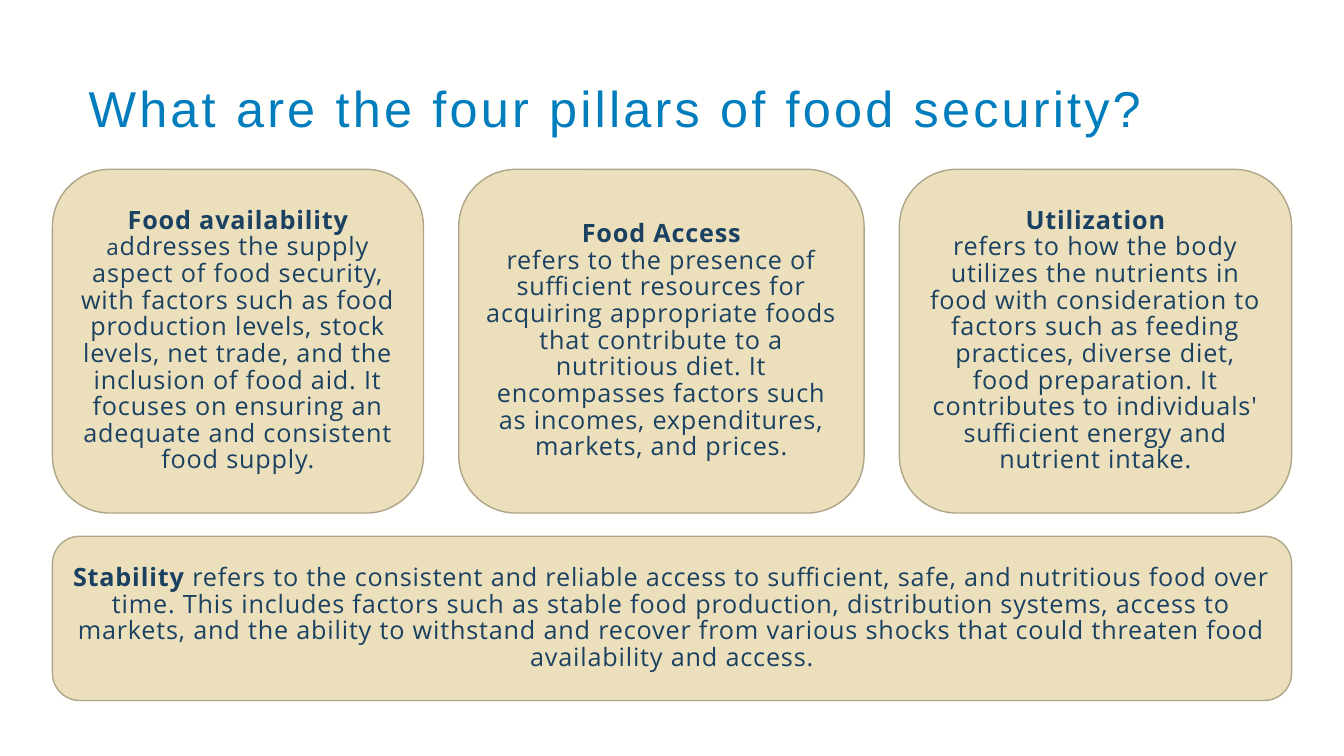
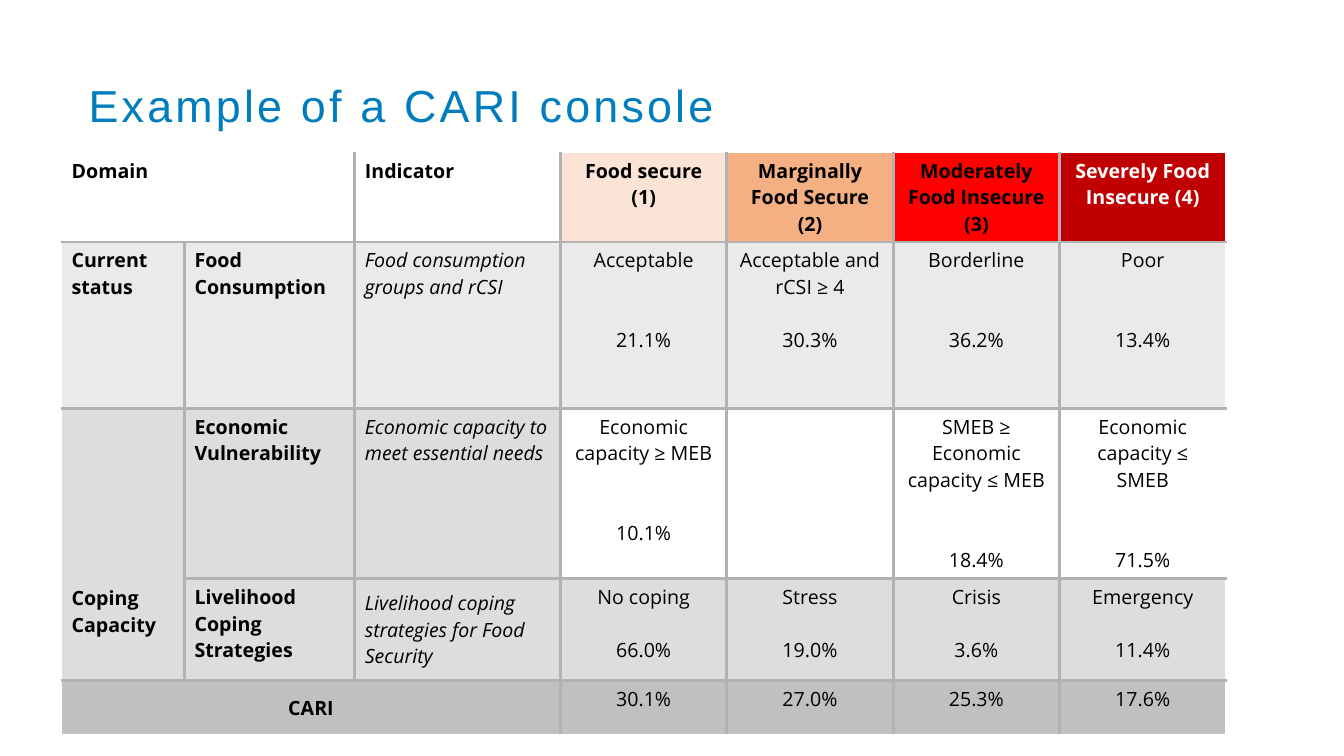
"""Build two slides on food security: the four pillars and a CARI console."""
from lxml import etree
from pptx import Presentation
from pptx.dml.color import RGBColor
from pptx.enum.shapes import MSO_SHAPE
from pptx.enum.text import MSO_ANCHOR, PP_ALIGN
from pptx.oxml.ns import qn
from pptx.util import Inches, Pt

ROUND_RECT = MSO_SHAPE.ROUNDED_RECTANGLE
LEFT, CENTER = PP_ALIGN.LEFT, PP_ALIGN.CENTER
TOP, MIDDLE, BOTTOM = MSO_ANCHOR.TOP, MSO_ANCHOR.MIDDLE, MSO_ANCHOR.BOTTOM

BACKGROUND, BLUE, NAVY = "FFFFFE", "007DBC", "1A4161"
SAND, SAND_EDGE = "ECDFBB", "AFA58A"
WHITE, BLACK, GRID = "FFFFFF", "000000", "B2B2B2"
PALE_GRAY, LIGHT_GRAY, MID_GRAY = "EAEAEA", "DDDDDD", "C0C0C0"
TITLE_FONT, BODY_FONT = "Arial", "Open Sans"

CARD_TOP, CARD_HEIGHT = 1.68, 3.41
CARDS = [
    (0.52, 3.68, "Food availability", [
        ("a", 16),
        ("ddresses the supply aspect of food security, with factors such as "
         "food production levels, stock levels, net trade, and the inclusion "
         "of food aid. It focuses on ensuring an adequate and consistent food "
         "supply.", 18)]),
    (4.55, 4.02, "Food Access", [
        ("refers to the presence of sufficient resources for acquiring "
         "appropriate foods that contribute to a nutritious diet. It "
         "encompasses factors such as incomes, expenditures, markets, and "
         "prices.", 18)]),
    (8.92, 3.89, "Utilization", [
        ("refers to how the body utilizes the nutrients in food with "
         "consideration to factors such as feeding practices, diverse diet, "
         "food preparation. It contributes to individuals' sufficient energy "
         "and nutrient intake.", 18)]),
]
STABILITY = (
    "refers to the consistent and reliable access to sufficient, safe, and "
    "nutritious food over time. This includes factors such as stable food "
    "production, distribution systems, access to markets, and the ability to "
    "withstand and recover from various shocks that could threaten food "
    "availability and access.")

COL_WIDTHS = [1.22, 1.69, 2.04] + [1.65] * 4
ROW_HEIGHTS = [0.89, 1.65, 1.69, 1.01, 0.54]
ROW_FILLS = [
    [WHITE] * 3 + ["FBE4D5", "F4B083", "FF0000", "C00000"],
    [PALE_GRAY] * 7,
    [LIGHT_GRAY] * 3 + [WHITE] * 4,
    [LIGHT_GRAY] * 7,
    [MID_GRAY] * 7,
]
MERGES = [((0, 0), (0, 1)), ((2, 0), (3, 0)), ((4, 0), (4, 2))]
HEADINGS = ["Domain", "", "Indicator", "Food secure (1)",
            "Marginally Food Secure (2)", "Moderately Food Insecure (3)",
            "Severely Food Insecure (4)"]
LABELS = [
    ("Current status", "Food Consumption", "Food consumption groups and rCSI"),
    ("Coping Capacity", "Economic Vulnerability",
     "Economic capacity to meet essential needs"),
    ("", "Livelihood Coping Strategies",
     "Livelihood coping strategies for Food Security"),
]
LINE = 19
RESULTS = [
    [("Acceptable", "21.1%", 2 * LINE),
     ("Acceptable and rCSI ≥ 4", "30.3%", LINE),
     ("Borderline", "36.2%", 2 * LINE), ("Poor", "13.4%", 2 * LINE)],
    [("Economic capacity ≥ MEB", "10.1%", 2 * LINE), None,
     ("SMEB ≥ Economic capacity ≤ MEB", "18.4%", 2 * LINE),
     ("Economic capacity ≤ SMEB", "71.5%", 2 * LINE)],
    [("No coping", "66.0%", LINE), ("Stress", "19.0%", LINE),
     ("Crisis", "3.6%", LINE), ("Emergency", "11.4%", LINE)],
]
CARI_TOTALS = ["30.1%", "27.0%", "25.3%", "17.6%"]


def rgb(value):
    """Turn a hex string into a colour."""
    return RGBColor.from_string(value)


def add_run(p, text, size=14, color=BLACK, font=BODY_FONT, bold=False,
            italic=False, spacing=0, align=LEFT):
    """Append a formatted run to a paragraph and align the paragraph."""
    p.alignment = align
    r = p.add_run()
    r.text = text
    r.font.size, r.font.name = Pt(size), font
    r.font.bold, r.font.italic = bold, italic
    r.font.color.rgb = rgb(color)
    if spacing:
        r._r.get_or_add_rPr().set("spc", str(round(spacing * 100)))


def add_slide(prs, title, size):
    """Add a blank slide with the shared background and title."""
    s = prs.slides.add_slide(prs.slide_layouts[6])
    s.background.fill.solid()
    s.background.fill.fore_color.rgb = rgb(BACKGROUND)
    tf = s.shapes.add_textbox(Inches(0.78), Inches(0.78),
                              Inches(12.09), Inches(0.72)).text_frame
    tf.word_wrap = True
    p = tf.paragraphs[0]
    p.line_spacing = 0.9
    add_run(p, title, size=size, color=BLUE, font=TITLE_FONT, spacing=2.3)
    return s


def add_card(s, left, top, width, height, paragraphs):
    """Add a rounded card; each paragraph lists (text, size, bold) runs."""
    sp = s.shapes.add_shape(ROUND_RECT, Inches(left), Inches(top),
                            Inches(width), Inches(height))
    sp.shadow.inherit = False
    sp.fill.solid()
    sp.fill.fore_color.rgb = rgb(SAND)
    sp.line.color.rgb = rgb(SAND_EDGE)
    sp.line.width = Pt(1)
    tf = sp.text_frame
    tf.word_wrap = True
    tf.vertical_anchor = MIDDLE
    for i, runs in enumerate(paragraphs):
        p = tf.add_paragraph() if i else tf.paragraphs[0]
        p.line_spacing = 0.88
        for text, size, bold in runs:
            add_run(p, text, size=size, color=NAVY, bold=bold, spacing=0.6,
                    align=CENTER)


def add_border(cell, side, color, width):
    """Add one cell border; side is L, R, T or B."""
    ln = etree.SubElement(cell._tc.get_or_add_tcPr(), qn("a:ln" + side),
                          w=str(Pt(width)))
    fill = etree.SubElement(ln, qn("a:solidFill"))
    etree.SubElement(fill, qn("a:srgbClr"), val=color)


def style_cell(cell, fill, outer_sides):
    """Give a cell its fill, with white borders on the table's outer sides."""
    for side in "LRTB":
        color, width = (WHITE, 1) if side in outer_sides else (GRID, 2.25)
        add_border(cell, side, color, width)
    cell.fill.solid()
    cell.fill.fore_color.rgb = rgb(fill)


def write_cell(cell, text, anchor=TOP, **fmt):
    """Write the first paragraph of a cell."""
    cell.vertical_anchor = anchor
    add_run(cell.text_frame.paragraphs[0], text, **fmt)


def write_result(cell, category, value, gap):
    """Write a category with its share set below it."""
    write_cell(cell, category, align=CENTER)
    p = cell.text_frame.add_paragraph()
    p.space_before = Pt(gap)
    add_run(p, value, align=CENTER)


def add_grid(s, left, top):
    """Add the empty console table with its fills, borders and merges."""
    n_rows, n_cols = len(ROW_HEIGHTS), len(COL_WIDTHS)
    table = s.shapes.add_table(n_rows, n_cols, Inches(left), Inches(top),
                               Inches(sum(COL_WIDTHS)),
                               Inches(sum(ROW_HEIGHTS))).table
    table.first_row = table.horz_banding = False
    for col, width in zip(table.columns, COL_WIDTHS):
        col.width = Inches(width)
    for i, (row, height) in enumerate(zip(table.rows, ROW_HEIGHTS)):
        row.height = Inches(height)
        for j, cell in enumerate(row.cells):
            edges = {"L": j == 0, "R": j == n_cols - 1,
                     "T": i == 0, "B": i == n_rows - 1}
            style_cell(cell, ROW_FILLS[i][j],
                       [side for side, outer in edges.items() if outer])
    for first, last in MERGES:
        table.cell(*first).merge(table.cell(*last))
    return table


def fill_console(table):
    """Write the headings, labels, results and totals of the console."""
    for j, text in enumerate(HEADINGS):
        if text:
            write_cell(table.cell(0, j), text, bold=True,
                       color=WHITE if j == 6 else BLACK,
                       align=CENTER if j > 2 else LEFT)
    for i, (labels, results) in enumerate(zip(LABELS, RESULTS), 1):
        for j, text in enumerate(labels):
            if text:
                write_cell(table.cell(i, j), text, bold=j < 2, italic=j == 2)
        for j, result in enumerate(results, 3):
            if result:
                write_result(table.cell(i, j), *result)
    coping = table.cell(2, 0)
    coping.vertical_anchor = BOTTOM
    coping.margin_bottom = Inches(0.42)
    table.cell(3, 2).vertical_anchor = MIDDLE
    write_cell(table.cell(4, 0), "CARI", anchor=MIDDLE, bold=True,
               align=CENTER)
    for j, text in enumerate(CARI_TOTALS, 3):
        write_cell(table.cell(4, j), text, align=CENTER)


def build_pillars(prs):
    """Build the slide with the four pillars."""
    s = add_slide(prs, "What are the four pillars of food security?", 36)
    for left, width, name, body in CARDS:
        add_card(s, left, CARD_TOP, width, CARD_HEIGHT,
                 [[(name, 18, True)],
                  [(text, size, False) for text, size in body]])
    add_card(s, 0.52, 5.32, 12.29, 1.63,
             [[("Stability ", 18, True), (STABILITY, 18, False)]])


def build_console(prs):
    """Build the slide with the CARI console."""
    s = add_slide(prs, "Example of a CARI console", 32)
    fill_console(add_grid(s, 0.61, 1.51))


def main():
    """Build and save the presentation."""
    prs = Presentation()
    prs.slide_width, prs.slide_height = Inches(13.33), Inches(7.5)
    build_pillars(prs)
    build_console(prs)
    prs.save("out.pptx")


if __name__ == "__main__":
    main()
